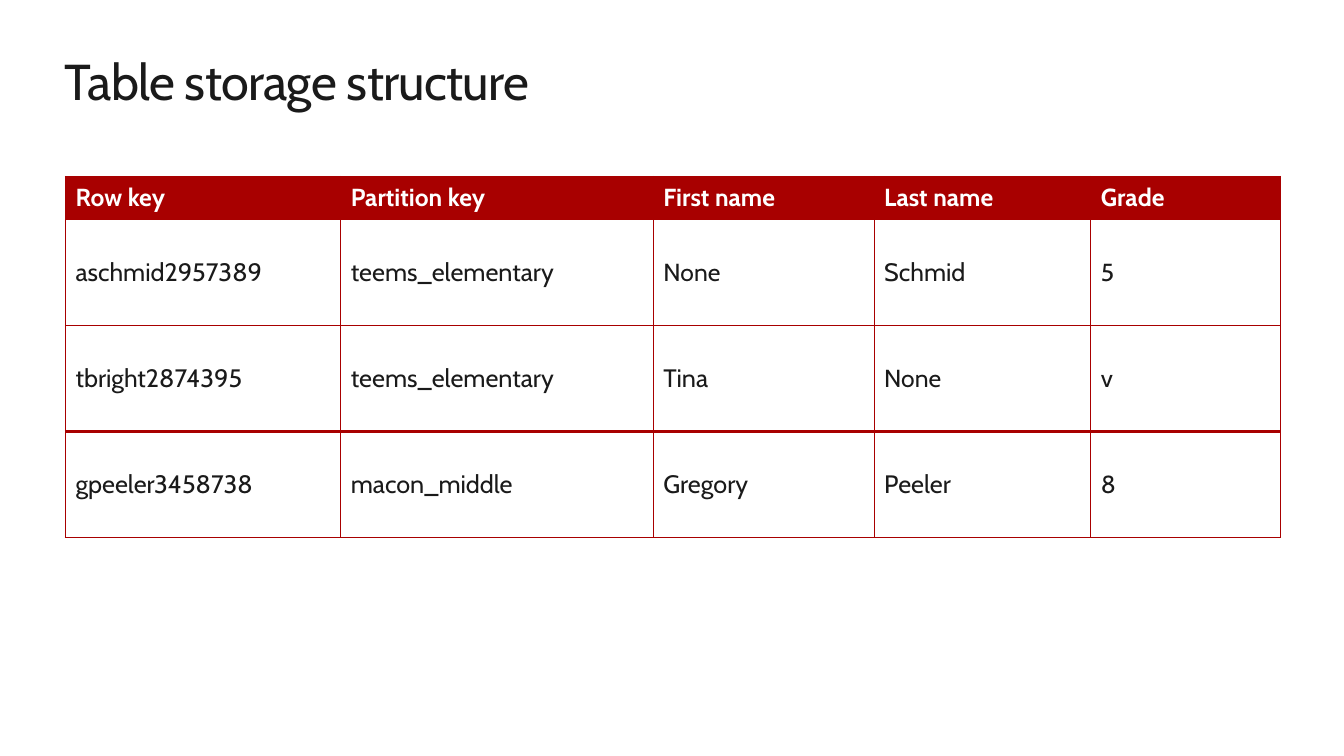
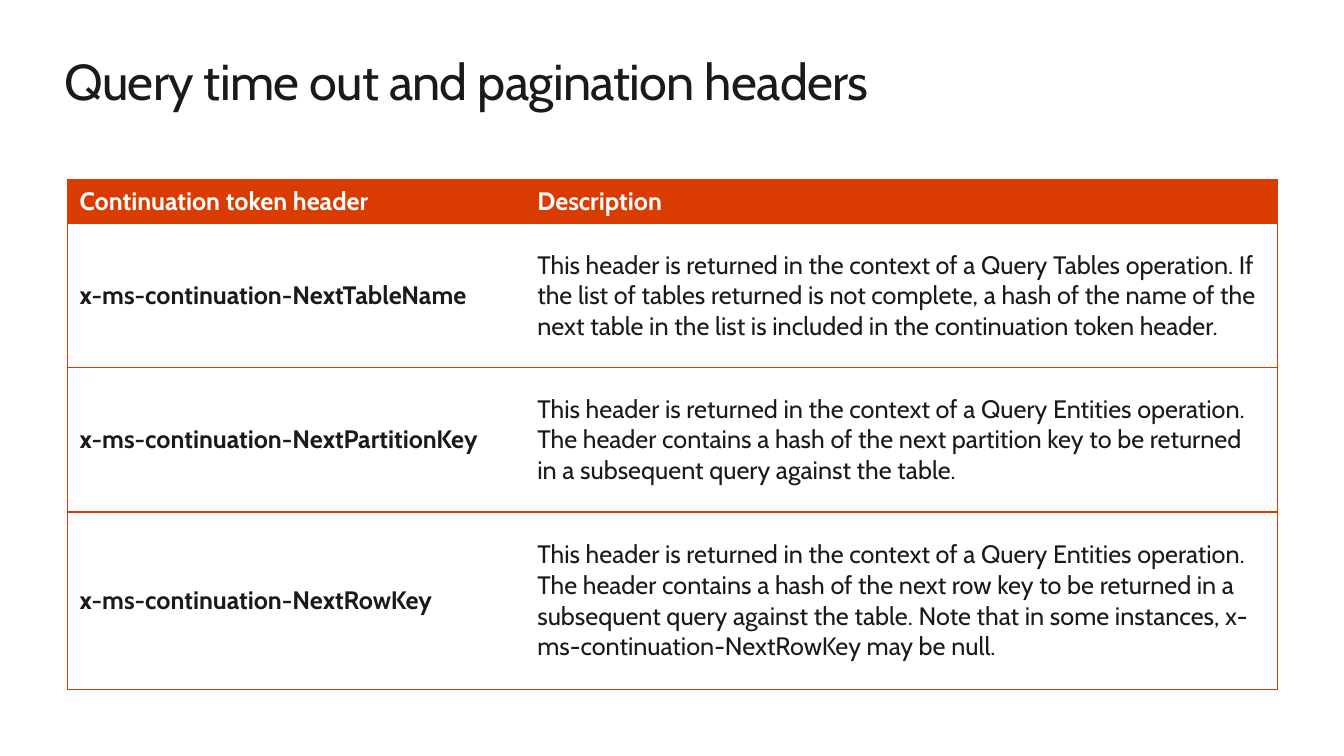
from pptx import Presentation
from pptx.dml.color import RGBColor
from pptx.enum.text import MSO_ANCHOR
from pptx.oxml.ns import qn
from pptx.util import Inches, Pt
from lxml.etree import SubElement

COLORS = {"text": "1A1A1A", "white": "FFFFFF", "red": "A80000", "orange": "DA3B01"}
FONT = "Cabin"
PLAIN_TABLE_STYLE = "{2D5ABB26-0587-4C30-8999-92F81FD0307C}"

STUDENTS = [
    ["Row key", "Partition key", "First name", "Last name", "Grade"],
    ["aschmid2957389", "teems_elementary", "None", "Schmid", "5"],
    ["tbright2874395", "teems_elementary", "Tina", "None", "v"],
    ["gpeeler3458738", "macon_middle", "Gregory", "Peeler", "8"],
]
HEADERS = [
    ["Continuation token header", "Description"],
    ["x-ms-continuation-NextTableName",
     "This header is returned in the context of a Query Tables operation. "
     "If the list of tables returned is not complete, a hash of the name of the "
     "next table in the list is included in the continuation token header."],
    ["x-ms-continuation-NextPartitionKey",
     "This header is returned in the context of a Query Entities operation. "
     "The header contains a hash of the next partition key to be returned "
     "in a subsequent query against the table."],
    ["x-ms-continuation-NextRowKey",
     "This header is returned in the context of a Query Entities operation. "
     "The header contains a hash of the next row key to be returned in a "
     "subsequent query against the table. Note that in some instances, "
     "x-ms-continuation-NextRowKey may be null."],
]


def style_text(frame, size, color, bold=False):
    span = frame.paragraphs[0].runs[0]
    span.font.name = FONT
    span.font.size = Pt(size)
    span.font.bold = bold
    span.font.color.rgb = RGBColor.from_string(COLORS[color])
    return span


def add_page(deck, title):
    """Add a blank slide with the shared title style."""
    page = deck.slides.add_slide(deck.slide_layouts[6])
    box = page.shapes.add_textbox(Inches(0.64), Inches(0.5), Inches(12.05), Inches(0.61))
    frame = box.text_frame
    frame.word_wrap = True
    frame.margin_left = frame.margin_right = frame.margin_top = frame.margin_bottom = 0
    frame.text = title
    span = style_text(frame, 36, "text")
    span.font._element.set("spc", "-50")
    return page


def set_borders(cell, color, widths):
    """Draw the sides named in widths (L, R, T, B), in points; hide the others."""
    properties = cell._tc.get_or_add_tcPr()
    for side in "LRTB":
        width = widths.get(side, 0)
        line = SubElement(properties, qn(f"a:ln{side}"), w=str(Pt(width)))
        if width:
            fill = SubElement(line, qn("a:solidFill"))
            SubElement(fill, qn("a:srgbClr"), val=COLORS[color])
        else:
            SubElement(line, qn("a:noFill"))


def add_grid(page, left, top, widths, heights, rows):
    """Add an unstyled table holding the texts of rows."""
    frame = page.shapes.add_table(len(rows), len(widths), Inches(left), Inches(top),
                                  Inches(sum(widths)), Inches(sum(heights)))
    table = frame.table
    table._tbl.tblPr.find(qn("a:tableStyleId")).text = PLAIN_TABLE_STYLE
    table.horz_banding = False
    for column, width in zip(table.columns, widths):
        column.width = Inches(width)
    for row, height, texts in zip(table.rows, heights, rows):
        row.height = Inches(height)
        for cell, text in zip(row.cells, texts):
            cell.text_frame.text = text
            cell.vertical_anchor = MSO_ANCHOR.MIDDLE
    return table


def fill_cell(cell, color):
    cell.fill.solid()
    cell.fill.fore_color.rgb = RGBColor.from_string(COLORS[color])


def add_student_table(page):
    table = add_grid(page, 0.65, 1.75, [2.73, 3.1, 2.19, 2.15, 1.88],
                     [0.43] + [1.05] * 3, STUDENTS)
    partition_end = 2  # the last row before the next partition key
    for r, row in enumerate(table.rows):
        for c, cell in enumerate(row.cells):
            set_borders(cell, "red", {"L": 1, "R": 1,
                                      "T": 3 if r == partition_end + 1 else 1,
                                      "B": 3 if r == partition_end else 1})
            header = r == 0
            if header:
                fill_cell(cell, "red")
            small = header or c == 4 or cell.text_frame.text == "None"
            style_text(cell.text_frame, 17.6 if small else 18,
                       "white" if header else "text", header)


def add_header_table(page):
    table = add_grid(page, 0.67, 1.78, [4.54, 7.46], [0.44, 1.43, 1.43, 1.76], HEADERS)
    for r, row in enumerate(table.rows):
        for c, cell in enumerate(row.cells):
            cell.margin_left, cell.margin_right = Inches(0.12), Inches(0.16)
            set_borders(cell, "orange", {"T": 1, "B": 1, "LR"[c]: 1})
            header = r == 0
            fill_cell(cell, "orange" if header else "white")
            style_text(cell.text_frame, 18, "white" if header else "text",
                       header or c == 0)


def main():
    deck = Presentation()
    deck.slide_width, deck.slide_height = Inches(13.33), Inches(7.5)
    add_student_table(add_page(deck, "Table storage structure"))
    add_header_table(add_page(deck, "Query time out and pagination headers"))
    deck.save("out.pptx")


if __name__ == "__main__":
    main()
